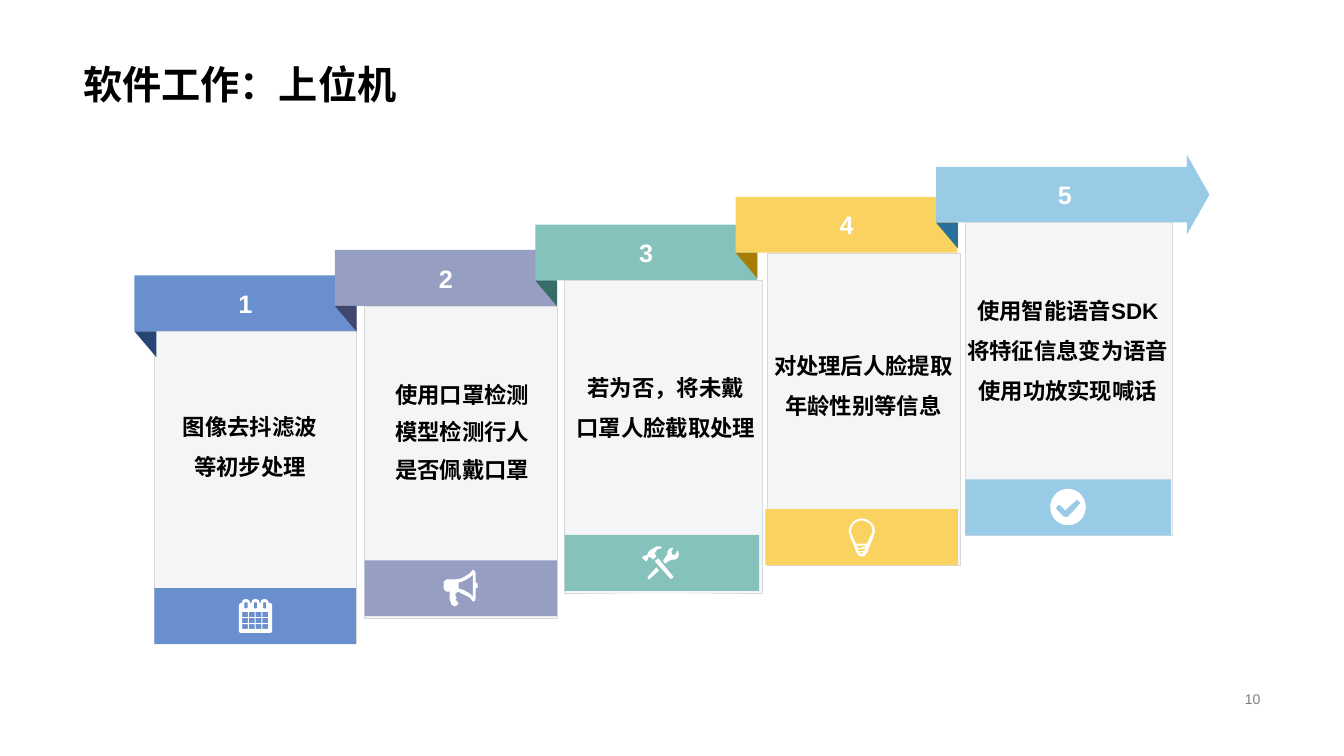
from math import cos, pi, sin

from lxml.etree import SubElement
from pptx import Presentation
from pptx.dml.color import RGBColor
from pptx.enum.shapes import MSO_SHAPE
from pptx.enum.text import MSO_ANCHOR, PP_ALIGN
from pptx.oxml.ns import qn
from pptx.util import Cm, Pt

BLACK = RGBColor(0x00, 0x00, 0x00)
WHITE = RGBColor(0xFF, 0xFF, 0xFF)
GREY = RGBColor(0x80, 0x80, 0x80)
PANEL = RGBColor(0xE4, 0xE6, 0xEA)
BORDER = RGBColor(0xD9, 0xD9, 0xD9)
BLUE, NAVY = RGBColor(0x69, 0x8F, 0xCE), RGBColor(0x26, 0x44, 0x75)
PURPLE, PLUM = RGBColor(0x96, 0x9E, 0xC2), RGBColor(0x3F, 0x47, 0x6D)
TEAL, PINE = RGBColor(0x85, 0xC2, 0xBC), RGBColor(0x37, 0x6D, 0x68)
YELLOW, OCHRE = RGBColor(0xFA, 0xD2, 0x5F), RGBColor(0xA7, 0x7D, 0x05)
SKY, OCEAN = RGBColor(0x99, 0xCA, 0xE6), RGBColor(0x26, 0x70, 0x9A)

prs = Presentation()
prs.slide_width, prs.slide_height = Cm(33.87), Cm(19.05)
s = prs.slides.add_slide(prs.slide_layouts[6])


def write(sp, lines, size, color, bold=True, align=PP_ALIGN.CENTER,
          anchor=MSO_ANCHOR.MIDDLE, spacing=1.0):
    tf = sp.text_frame
    tf.word_wrap = True
    tf.vertical_anchor = anchor
    for i, line in enumerate(lines):
        p = tf.add_paragraph() if i else tf.paragraphs[0]
        p.alignment, p.line_spacing = align, spacing
        r = p.add_run()
        r.text = line
        r.font.name, r.font.size, r.font.bold = "Arial", Pt(size), bold
        r.font.color.rgb = color


def draw(left, top, contours, color):
    """Filled outline; points are in hundredths of an inch from left, top."""
    scaled = [[(x * 2.54, y * 2.54) for x, y in c] for c in contours]
    fb = s.shapes.build_freeform(*scaled[0][0], scale=Cm(0.01))
    for i, c in enumerate(scaled):
        if i:
            fb.move_to(*c[0])
        fb.add_line_segments(c[1:], close=True)
    sp = fb.convert_to_shape(Cm(left), Cm(top))
    sp.shadow.inherit = False
    sp.fill.solid()
    sp.fill.fore_color.rgb = color
    sp.line.fill.background()


# Title and slide number
tb = s.shapes.add_textbox(Cm(1.85), Cm(0), Cm(30.15), Cm(2.84))
write(tb, ["软件工作：上位机"], 28, BLACK, align=PP_ALIGN.LEFT,
      anchor=MSO_ANCHOR.BOTTOM, spacing=0.9)
tb = s.shapes.add_textbox(Cm(23.93), Cm(17.32), Cm(8.08), Cm(0.58))
write(tb, ["10"], 10, GREY, bold=False, align=PP_ALIGN.RIGHT)

# Steps: colour, fold colour, top, panel (left, width), foot (left, top, width),
# label (centre, top, height), label lines, line spacing
steps = [
    (BLUE, NAVY, 6.94, (3.89, 5.08), (3.89, 14.82, 5.08), (6.3, 9.32, 2.9),
     ["图像去抖滤波", "等初步处理"], 1.5),
    (PURPLE, PLUM, 6.3, (9.18, 4.86), (9.19, 14.12, 4.85), (11.65, 9.11, 3.18),
     ["使用口罩检测", "模型检测行人", "是否佩戴口罩"], 1.4),
    (TEAL, PINE, 5.66, (14.23, 4.98), (14.23, 13.48, 4.9), (16.78, 8.94, 2.31),
     ["若为否，将未戴", "口罩人脸截取处理"], 1.5),
    (YELLOW, OCHRE, 4.96, (19.34, 4.85), (19.29, 12.83, 4.85), (21.76, 7.54, 3.15),
     ["对处理后人脸提取", "年龄性别等信息"], 1.5),
    (SKY, OCEAN, 4.2, (24.32, 5.21), (24.33, 12.08, 5.18), (26.91, 6.5, 3.81),
     ["使用智能语音SDK", "将特征信息变为语音", "使用功放实现喊话"], 1.5),
]
BAR_H = 1.41
LABEL_W = 6
for i, (color, dark, top, panel, foot, label, lines, spacing) in enumerate(steps):
    left = 3.39 + 5.05 * i
    if i < len(steps) - 1:
        banner = (MSO_SHAPE.RECTANGLE, left, top, 5.59, BAR_H, color)
    else:
        banner = (MSO_SHAPE.RIGHT_ARROW, left, top - 0.3, 6.89, 2.01, color)
    parts = []
    for kind, x, y, w, h, fill in (
            banner,
            (MSO_SHAPE.RECTANGLE, panel[0], top + BAR_H, panel[1], 7.87, PANEL),
            (MSO_SHAPE.RECTANGLE, *foot, BAR_H, color)):
        sp = s.shapes.add_shape(kind, Cm(x), Cm(y), Cm(w), Cm(h))
        sp.shadow.inherit = False
        sp.fill.solid()
        sp.fill.fore_color.rgb = fill
        sp.line.fill.background()
        parts.append(sp)
    head, body, base = parts
    if banner[0] == MSO_SHAPE.RIGHT_ARROW:
        head.adjustments[0], head.adjustments[1] = 0.695, 0.283
    write(head, [str(i + 1)], 18, WHITE)

    # Panel: translucent fill and hairline border
    clr = body.fill._xPr.find(qn("a:solidFill"))[0]
    SubElement(clr, qn("a:alpha")).set("val", "40000")
    body.line.color.rgb = BORDER
    body.line.width = Pt(0.25)

    draw(left, top + BAR_H, [[(0, 0), (21.5, 0), (21.5, 25.5)]], dark)
    centre, label_top, label_h = label
    tb = s.shapes.add_textbox(Cm(centre - LABEL_W / 2), Cm(label_top), Cm(LABEL_W), Cm(label_h))
    write(tb, lines, 16, BLACK, anchor=MSO_ANCHOR.BOTTOM, spacing=spacing)

# Calendar: body with three rings, their slots, and a grid of days
rings = (7, 16.5, 25.5)
frame = [(0, 7), (0.5, 5), (2, 4)]
for x in rings:
    frame += [(x - 4, 4), (x - 4, 3), (x - 3, 1), (x, 0), (x + 3, 1), (x + 4, 3), (x + 4, 4)]
frame += [(31, 4), (32.5, 5), (33, 7), (33, 31), (32.5, 33), (31, 34), (2, 34), (0.5, 33), (0, 31)]
slots = [[(x - 1.5, 4), (x, 3), (x + 1.5, 4), (x + 1.5, 9), (x, 10), (x - 1.5, 9)]
         for x in rings]
days = [[(x, y), (x + 5.7, y), (x + 5.7, y + 5), (x, y + 5)]
        for x in (3.3, 10, 16.7, 23.4) for y in (13, 19, 25)]
draw(6.02, 15.09, [frame, *slots, *days], WHITE)

# Megaphone
horn = [(34, 16), (34, 18), (32, 19), (32, 28), (31, 31), (29, 32), (26, 28), (22, 26),
        (18, 24), (14, 22), (12, 24), (12, 26), (13, 28), (12, 30), (13, 31), (15, 34),
        (13, 36), (11, 36.5), (9, 36), (8, 35), (6, 29), (6, 22), (3, 22), (1, 21), (0, 19),
        (0, 13), (1, 11), (3, 10), (12, 10), (17, 9), (21, 7), (26, 4), (29, 0), (31, 2),
        (32, 4), (32, 13), (34, 14)]
mouth = [(29, 5), (26, 8), (23, 10), (19, 12), (15, 13), (15, 19), (19, 20), (23, 22),
         (26, 24), (29, 27)]
draw(11.18, 14.35, [horn, mouth], WHITE)

# Crossed hammer and wrench
hammer = [(6, 11), (7, 10.5), (9, 11), (11, 13), (14, 10), (13, 8), (13, 6), (15, 3),
          (20, 1), (18, 0), (14, 0), (8, 4), (6, 6), (5.5, 8), (4, 9), (2, 9), (0, 11),
          (3, 14), (4, 15), (6, 13)]
handle = [(16, 12), (13, 14), (13, 15), (28, 32), (29, 32), (31, 31), (31, 30)]
wrench = [(36, 5), (35, 4), (34, 7), (32, 8.5), (30, 8), (29, 5), (31, 1), (30, 1),
          (27, 2.5), (25, 5), (25, 8), (23, 11), (21, 14), (23, 17), (27, 14), (30, 13),
          (33, 13), (36, 11), (36.5, 8)]
grip = [(6, 30), (5.5, 31), (7, 33), (8, 32), (17, 24), (14, 21)]
draw(16.18, 13.77, [hammer, handle, wrench, grip], WHITE)

# Light bulb
bulb = [(13, 0), (8, 1), (4, 4), (1, 8), (0, 13), (2, 20), (5, 27), (7, 33), (10, 37),
        (13, 38), (16, 37), (19, 33), (21, 27), (24, 20), (26, 13), (25, 8), (22, 4), (18, 1)]
glass = [(18, 25), (7, 25), (5, 21), (3, 16.5), (2, 13), (3, 8.5), (5.2, 5.2), (9, 3),
         (13, 2), (17, 3), (20.8, 5.2), (23, 8.5), (23.5, 13), (22, 17), (20, 21)]
threads = [[(16, 32), (10, 33), (9, 31), (16, 30)],
           [(9, 30), (8, 27), (17, 27), (17, 28)],
           [(13, 36), (10, 34), (15, 34)]]
draw(21.39, 13.06, [bulb, glass, *threads], WHITE)

# Check mark in a disc
disc = [(17.5 + 17.5 * cos(a * pi / 24), 18 + 18 * sin(a * pi / 24)) for a in range(48)]
tick = [(29, 15), (30, 14), (29, 13), (27, 11), (26, 11), (15, 21), (14, 21), (10, 16),
        (8, 16), (6, 18), (6, 20), (13, 27), (14, 28), (16, 28), (18, 27)]
draw(26.47, 12.32, [disc, tick], WHITE)

prs.save("out.pptx")
